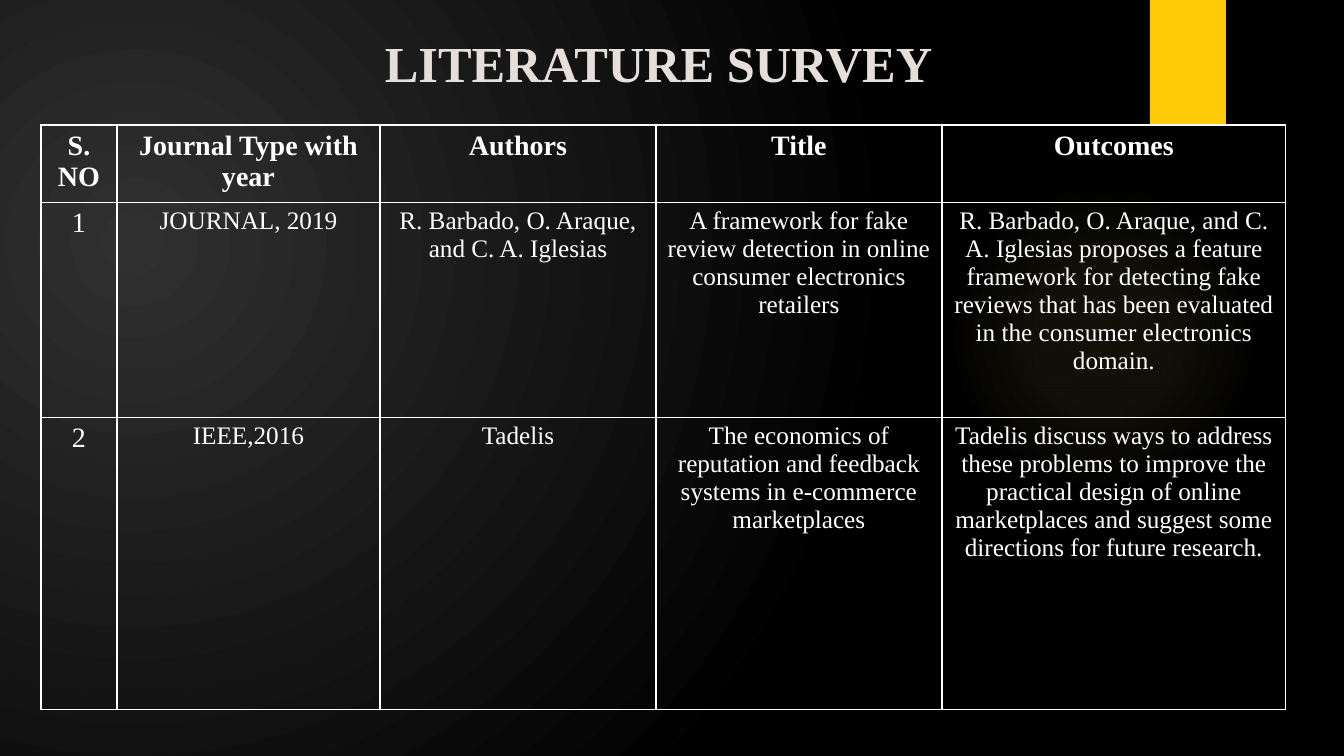
from lxml.etree import SubElement
from pptx import Presentation
from pptx.dml.color import RGBColor
from pptx.enum.shapes import MSO_SHAPE
from pptx.enum.text import MSO_ANCHOR, PP_ALIGN
from pptx.oxml import parse_xml
from pptx.oxml.ns import nsdecls, qn
from pptx.util import Emu, Pt

EMU_PER_PX = 914400 / 100.8
FONT = "Times New Roman"
COLORS = {
    "white": "FFFFFF",
    "title": "E5DEDB",
    "accent": "FFCA08",
    "glow": "FFDF6B",
    "charcoal": "303030",
    "black": "000000",
}
COLUMN_WIDTHS = [76, 263, 276, 286, 344]
ROW_HEIGHTS = [72, 215, 292]
SURVEY = [
    ["S. NO", "Journal Type with year", "Authors", "Title", "Outcomes"],
    [
        "1",
        "JOURNAL, 2019",
        "R. Barbado, O. Araque, and C. A. Iglesias",
        "A framework for fake review detection in online consumer electronics retailers",
        "R. Barbado, O. Araque, and C. A. Iglesias proposes a feature framework for "
        "detecting fake reviews that has been evaluated in the consumer electronics domain.",
    ],
    [
        "2",
        "IEEE,2016",
        "Tadelis",
        "The economics of reputation and feedback systems in e-commerce marketplaces",
        "Tadelis discuss ways to address these problems to improve the practical design "
        "of online marketplaces and suggest some directions for future research.",
    ],
]


def px(length):
    return Emu(round(length * EMU_PER_PX))


def write(frame, text, size, color="white", bold=False, align=PP_ALIGN.CENTER):
    frame.word_wrap = True
    paragraph = frame.paragraphs[0]
    paragraph.alignment = align
    run = paragraph.add_run()
    run.text = text
    run.font.name = FONT
    run.font.size = Pt(size)
    run.font.bold = bold
    run.font.color.rgb = RGBColor.from_string(COLORS[color])


def radial_fill(owner, fill, stops, focus):
    fill.gradient()
    gradient = owner._element.find(".//" + qn("a:gradFill"))
    for child in list(gradient):
        gradient.remove(child)
    stop_list = SubElement(gradient, qn("a:gsLst"))
    for position, color, opacity in stops:
        stop = SubElement(stop_list, qn("a:gs"), pos=str(position * 1000))
        tone = SubElement(stop, qn("a:srgbClr"), val=COLORS[color])
        if opacity < 100:
            SubElement(tone, qn("a:alpha"), val=str(opacity * 1000))
    circle = SubElement(gradient, qn("a:path"), path="circle")
    edges = {side: str(value * 1000) for side, value in zip("ltrb", focus)}
    SubElement(circle, qn("a:fillToRect"), **edges)


def add_plain_shape(slide, kind, x, y, width, height):
    shape = slide.shapes.add_shape(kind, px(x), px(y), px(width), px(height))
    shape.shadow.inherit = False
    shape.line.fill.background()
    return shape


def add_backdrop(slide):
    radial_fill(slide, slide.background.fill,
                [(0, "charcoal", 100), (100, "black", 100)], (45, 65, 125, 100))


def add_glow(slide, x, y, size):
    glow = add_plain_shape(slide, MSO_SHAPE.OVAL, x, y, size, size)
    radial_fill(glow, glow.fill,
                [(0, "glow", 7), (36, "glow", 6), (69, "glow", 0)], (50, 50, 50, 50))


def add_ribbon(slide, x, y, width, height):
    ribbon = add_plain_shape(slide, MSO_SHAPE.RECTANGLE, x, y, width, height)
    ribbon.fill.solid()
    ribbon.fill.fore_color.rgb = RGBColor.from_string(COLORS["accent"])
    effects = ribbon._element.spPr.find(qn("a:effectLst"))
    shadow = SubElement(effects, qn("a:outerShdw"), blurRad=str(Pt(3)),
                        dist=str(Pt(2)), dir="5400000", rotWithShape="0")
    tone = SubElement(shadow, qn("a:srgbClr"), val=COLORS["black"])
    SubElement(tone, qn("a:alpha"), val="45000")


def add_title(slide, x, y, width, height):
    frame = slide.shapes.add_textbox(px(x), px(y), px(width), px(height)).text_frame
    frame.vertical_anchor = MSO_ANCHOR.TOP
    frame.margin_top = px(11)
    write(frame, "LITERATURE SURVEY", 36, color="title", bold=True, align=PP_ALIGN.LEFT)


def outline_cell(cell):
    properties = cell._tc.get_or_add_tcPr()
    for index, side in enumerate("LRTB"):
        properties.insert(index, parse_xml(
            f'<a:ln{side} {nsdecls("a")} w="{Pt(1)}"><a:solidFill>'
            f'<a:srgbClr val="{COLORS["white"]}"/></a:solidFill></a:ln{side}>'))


def add_survey_table(slide, x, y):
    table = slide.shapes.add_table(
        len(ROW_HEIGHTS), len(COLUMN_WIDTHS), px(x), px(y),
        px(sum(COLUMN_WIDTHS)), px(sum(ROW_HEIGHTS))).table
    table.first_row = False
    table.horz_banding = False
    for column, width in zip(table.columns, COLUMN_WIDTHS):
        column.width = px(width)
    for row, height in zip(table.rows, ROW_HEIGHTS):
        row.height = px(height)
    for row_index, entries in enumerate(SURVEY):
        for column_index, entry in enumerate(entries):
            cell = table.cell(row_index, column_index)
            cell.fill.background()
            outline_cell(cell)
            is_heading = row_index == 0
            size = 20 if is_heading or column_index == 0 else 18
            write(cell.text_frame, entry, size, bold=is_heading)


def main():
    presentation = Presentation()
    presentation.slide_width = px(1344)
    presentation.slide_height = px(756)
    slide = presentation.slides.add_slide(presentation.slide_layouts[6])
    add_backdrop(slide)
    add_glow(slide, 949, 184, 310)
    add_ribbon(slide, 1150, 0, 76, 126)
    add_title(slide, 375, 21, 683, 97)
    add_survey_table(slide, 41, 125)
    presentation.save("out.pptx")


if __name__ == "__main__":
    main()
